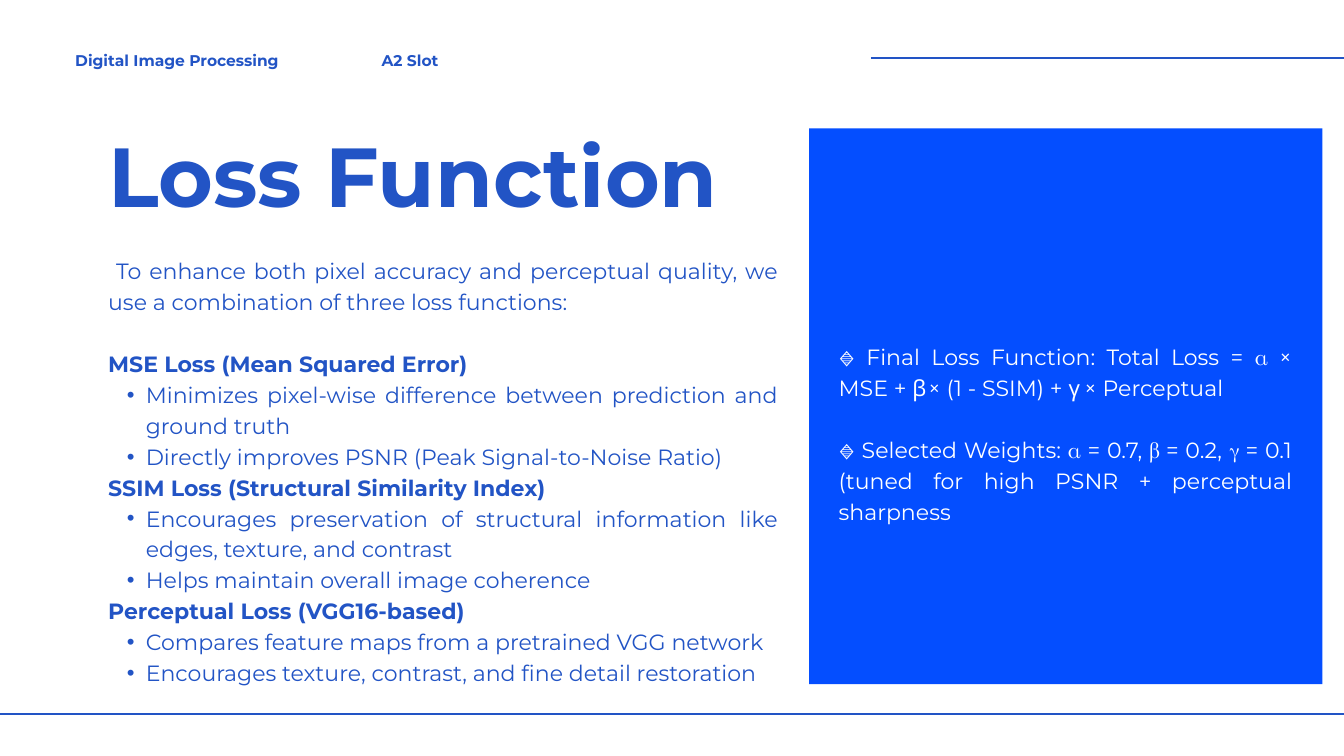
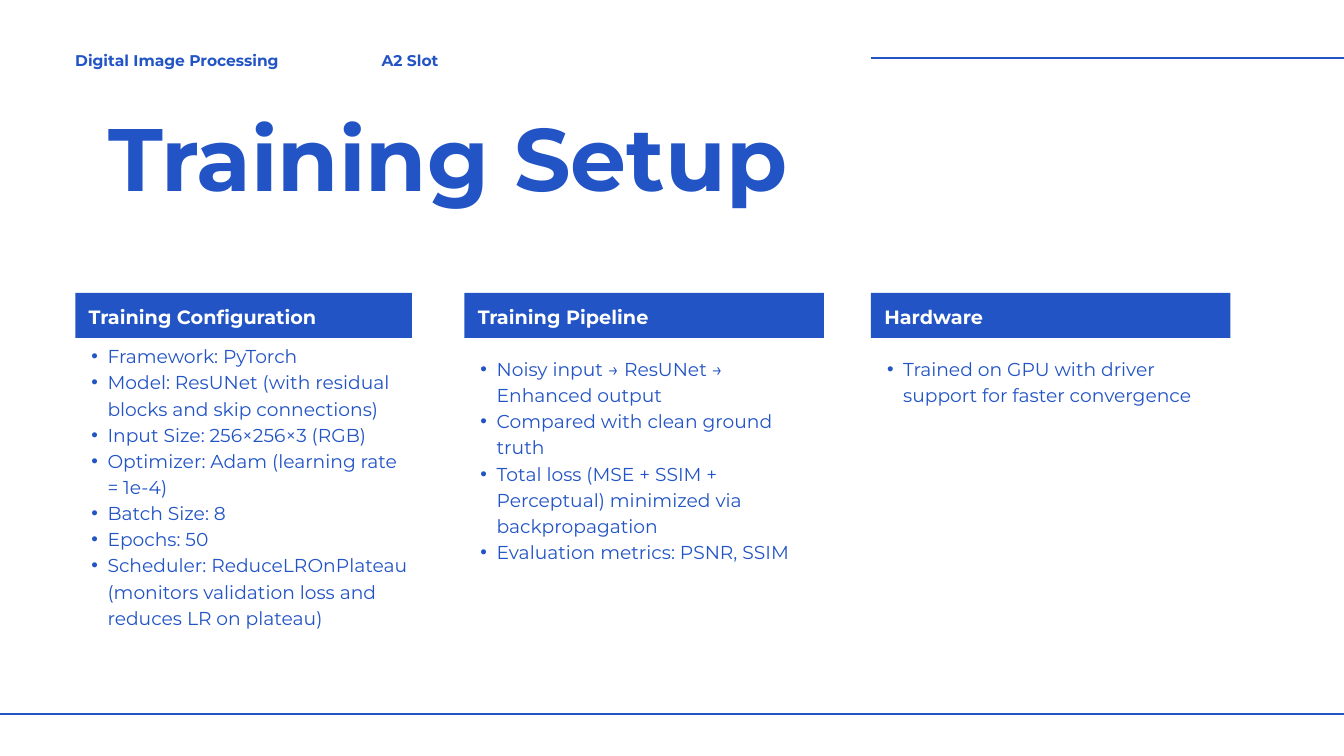
from lxml import etree
from pptx import Presentation
from pptx.dml.color import RGBColor
from pptx.enum.shapes import MSO_CONNECTOR, MSO_SHAPE
from pptx.enum.text import MSO_ANCHOR, MSO_AUTO_SIZE, PP_ALIGN
from pptx.oxml.ns import qn
from pptx.util import Inches, Pt

LEFT, JUSTIFY = PP_ALIGN.LEFT, PP_ALIGN.JUSTIFY
TOP = MSO_ANCHOR.TOP
NO_FIT = MSO_AUTO_SIZE.NONE
RECT = MSO_SHAPE.RECTANGLE
STRAIGHT = MSO_CONNECTOR.STRAIGHT

FONT = "Montserrat"
COLORS = {"blue": "2254C5", "panel": "044EFF", "white": "FFFFFF"}
WIDTH, HEIGHT = 20, 11.25
TITLE_ONLY = 5

# Paragraph kinds
PLAIN, HEAD, BULLET, GAP = "plain", "head", "bullet", "gap"


def color(name):
    return RGBColor.from_string(COLORS[name])


class Deck:
    def __init__(self):
        self.prs = Presentation()
        self.prs.slide_width = Inches(WIDTH)
        self.prs.slide_height = Inches(HEIGHT)
        self.s = None

    def new_slide(self, title, box, size, spacing):
        """Add a slide with its title, running header and rules."""
        self.s = self.prs.slides.add_slide(self.prs.slide_layouts[TITLE_ONLY])
        sp = self.s.shapes.title
        sp.left, sp.top, sp.width, sp.height = map(Inches, box)
        self.fill_text(sp.text_frame, [(HEAD, title)], size, spacing)
        self.text([(HEAD, "Digital Image Processing")], (1.12, 0.72, 3.23, 0.3), 16.6, 23.2)
        self.text([(HEAD, "A2 Slot")], (5.68, 0.72, 2.03, 0.3), 16.6, 23.2)
        self.rule(12.96, 0.87)
        self.rule(0, 10.63)

    def rule(self, x, y):
        """Draw a horizontal line from x to the right edge."""
        sp = self.s.shapes.add_connector(STRAIGHT, Inches(x), Inches(y), Inches(WIDTH), Inches(y))
        sp.line.color.rgb = color("blue")
        sp.line.width = Pt(2.25)
        etree.SubElement(sp._element.spPr, qn("a:effectLst"))

    def block(self, box, fill):
        sp = self.s.shapes.add_shape(RECT, *map(Inches, box))
        sp.shadow.inherit = False
        sp.fill.solid()
        sp.fill.fore_color.rgb = color(fill)
        sp.line.fill.background()

    def text(self, items, box, size, spacing, **style):
        sp = self.s.shapes.add_textbox(*map(Inches, box))
        self.fill_text(sp.text_frame, items, size, spacing, **style)

    def fill_text(self, tf, items, size, spacing, font_color="blue", align=LEFT, indent=0.24):
        tf.word_wrap = True
        tf.auto_size = NO_FIT
        tf.vertical_anchor = TOP
        tf.margin_left = tf.margin_right = tf.margin_top = tf.margin_bottom = 0
        for i, (kind, words) in enumerate(items):
            p = tf.add_paragraph() if i else tf.paragraphs[0]
            p.text = words
            p.alignment = align
            p.line_spacing = Pt(spacing)
            p.space_before = Pt(spacing if kind.startswith(GAP) else 0)
            if kind == BULLET:
                self.bullet(p, indent)
            for r in p.runs:
                r.font.name = FONT
                r.font.size = Pt(size)
                r.font.bold = kind.endswith(HEAD)
                r.font.color.rgb = color(font_color)

    def bullet(self, p, indent):
        p.level = 1
        pPr = p._p.get_or_add_pPr()
        pPr.set("marL", str(Inches(2 * indent)))
        pPr.set("indent", str(-Inches(indent)))
        etree.SubElement(pPr, qn("a:buFont"), typeface="Arial")
        etree.SubElement(pPr, qn("a:buChar"), char="•")


def loss_slide(deck):
    deck.new_slide("Loss Function", (1.61, 2.12, 9.27, 1.28), 89.7, 87.8)
    body = dict(size=23.6, spacing=33.1, align=JUSTIFY, indent=0.28)

    # Loss terms
    deck.text([
        (PLAIN, " To enhance both pixel accuracy and perceptual quality, "
                "we use a combination of three loss functions:"),
        (GAP + HEAD, "MSE Loss (Mean Squared Error)"),
        (BULLET, "Minimizes pixel-wise difference between prediction and ground truth"),
        (BULLET, "Directly improves PSNR (Peak Signal-to-Noise Ratio)"),
        (HEAD, "SSIM Loss (Structural Similarity Index)"),
        (BULLET, "Encourages preservation of structural information like "
                 "edges, texture, and contrast"),
        (BULLET, "Helps maintain overall image coherence"),
        (HEAD, "Perceptual Loss (VGG16-based)"),
        (BULLET, "Compares feature maps from a pretrained VGG network"),
        (BULLET, "Encourages texture, contrast, and fine detail restoration"),
    ], (1.61, 3.77, 9.97, 6.41), **body)

    # Formula panel
    deck.block((12.04, 1.91, 7.64, 8.27), "panel")
    deck.text([
        (PLAIN, "🔹 Final Loss Function: Total Loss = α × MSE + β × (1 - SSIM) + γ × Perceptual"),
        (GAP, "🔹 Selected Weights: α = 0.7, β = 0.2, γ = 0.1 "
              "(tuned for high PSNR + perceptual sharpness"),
    ], (12.48, 5.05, 6.75, 2.75), font_color="white", **body)


def training_slide(deck):
    deck.new_slide("Training Setup", (1.61, 1.27, 10.44, 1.78), 94.9, 132.8)

    # Columns: heading, left, width, list top, list height, points
    columns = [
        ("Training Configuration", 1.12, 5.01, 5.08, 4.61, [
            "Framework: PyTorch",
            "Model: ResUNet (with residual blocks and skip connections)",
            "Input Size: 256×256×3 (RGB)",
            "Optimizer: Adam (learning rate = 1e-4)",
            "Batch Size: 8",
            "Epochs: 50",
            "Scheduler: ReduceLROnPlateau (monitors validation loss "
            "and reduces LR on plateau)",
        ]),
        ("Training Pipeline", 6.91, 5.35, 5.27, 3.07, [
            "Noisy input → ResUNet → Enhanced output",
            "Compared with clean ground truth",
            "Total loss (MSE + SSIM + Perceptual) minimized via backpropagation",
            "Evaluation metrics: PSNR, SSIM",
        ]),
        ("Hardware", 12.96, 5.35, 5.27, 0.76, [
            "Trained on GPU with driver support for faster convergence",
        ]),
    ]
    for heading, left, width, top, height, points in columns:
        deck.block((left, 4.36, width, 0.67), "blue")
        deck.text([(HEAD, heading)], (left + 0.2, 4.49, width + 0.42, 0.38), 20.6, 28.9,
                  font_color="white")
        deck.text([(BULLET, point) for point in points], (left, top, width, height), 20, 28)


def main():
    deck = Deck()
    loss_slide(deck)
    training_slide(deck)
    deck.prs.save("out.pptx")


if __name__ == "__main__":
    main()
